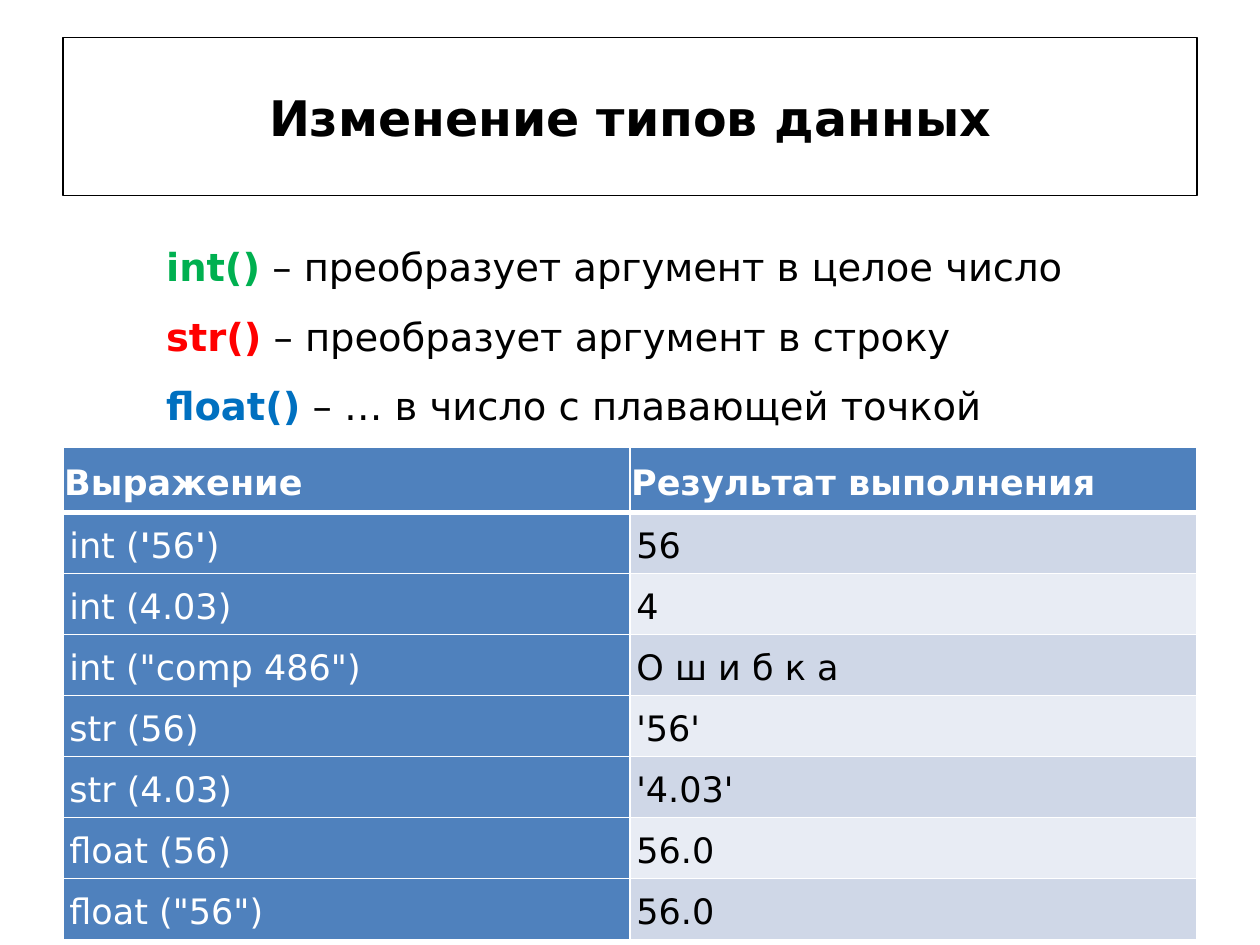
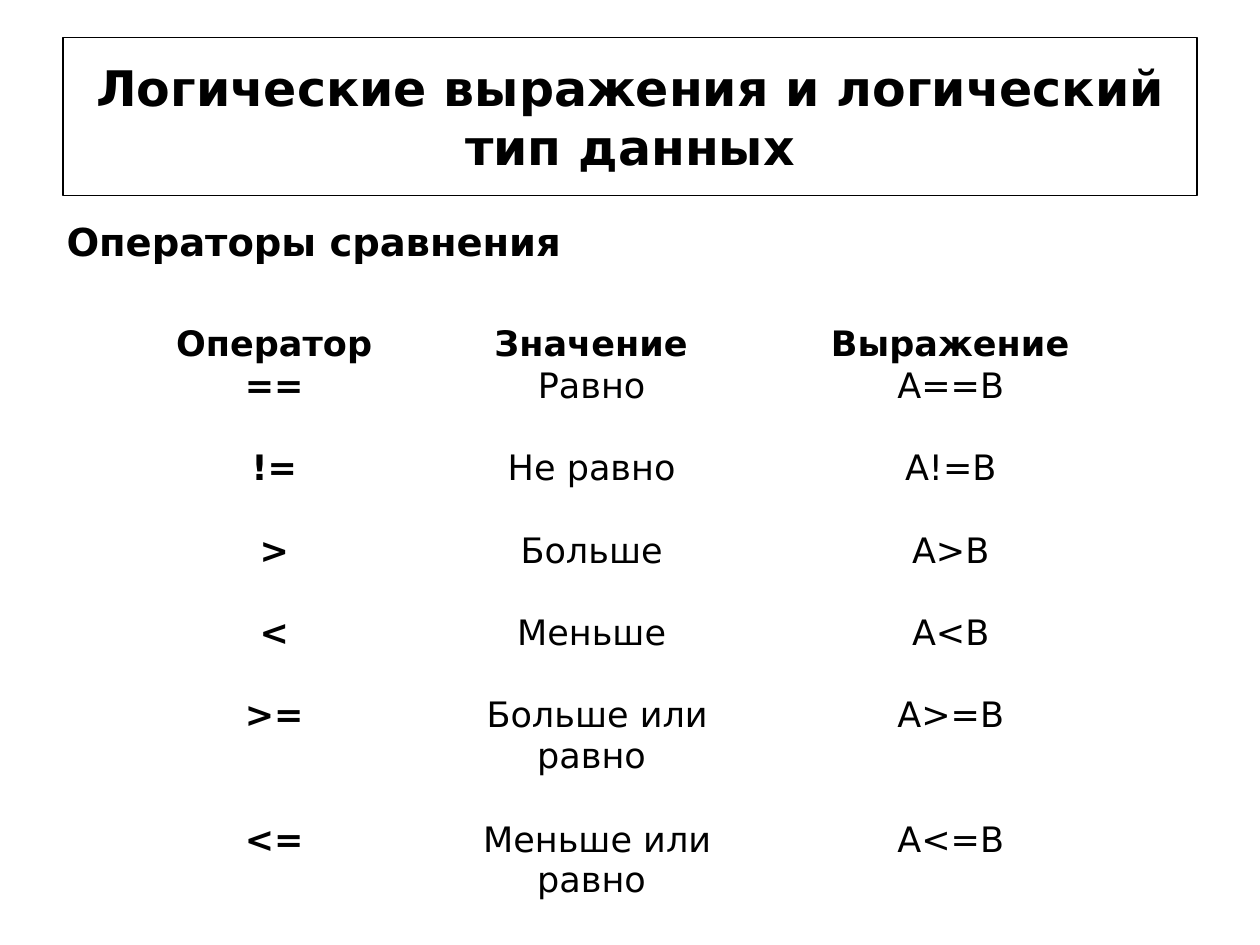
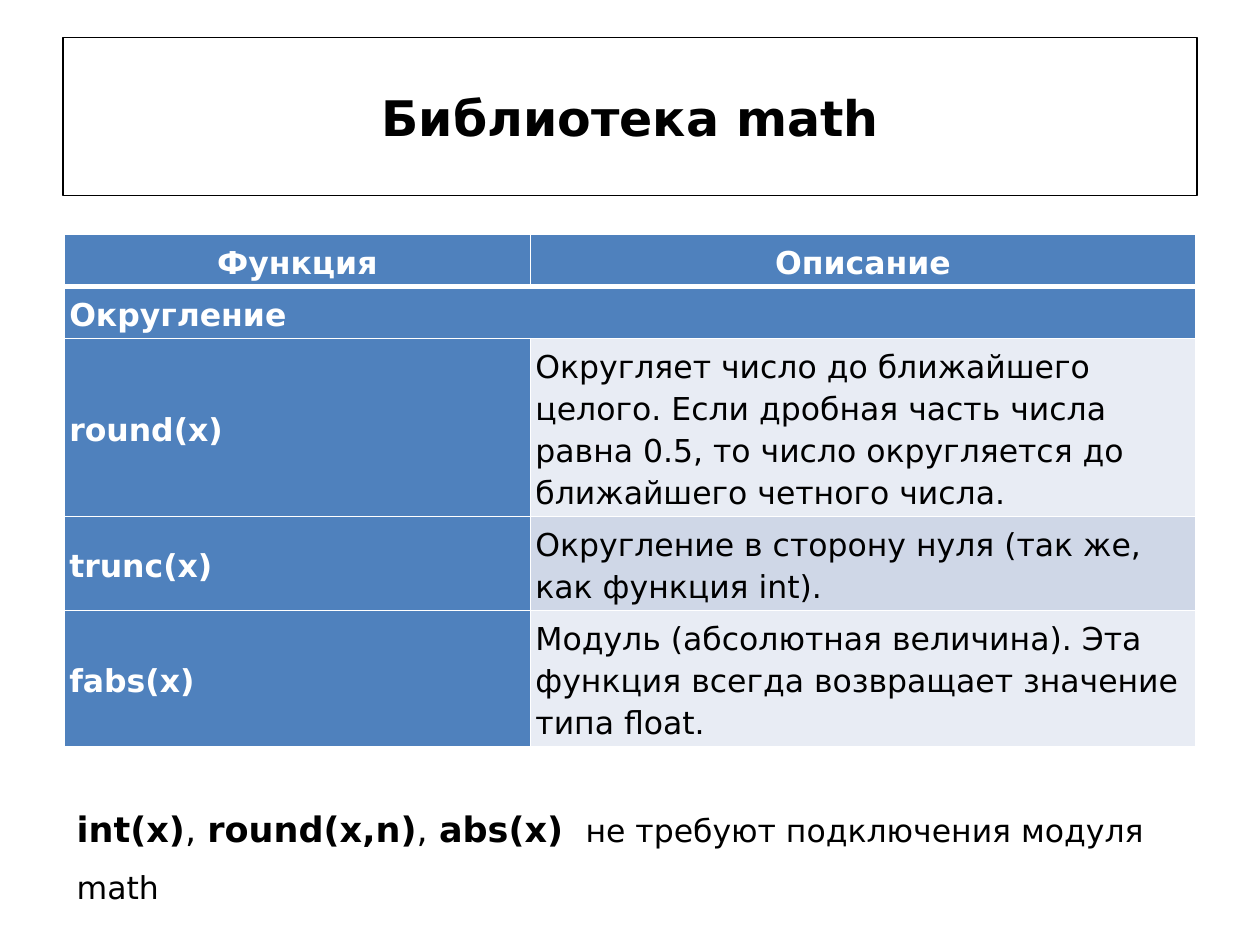
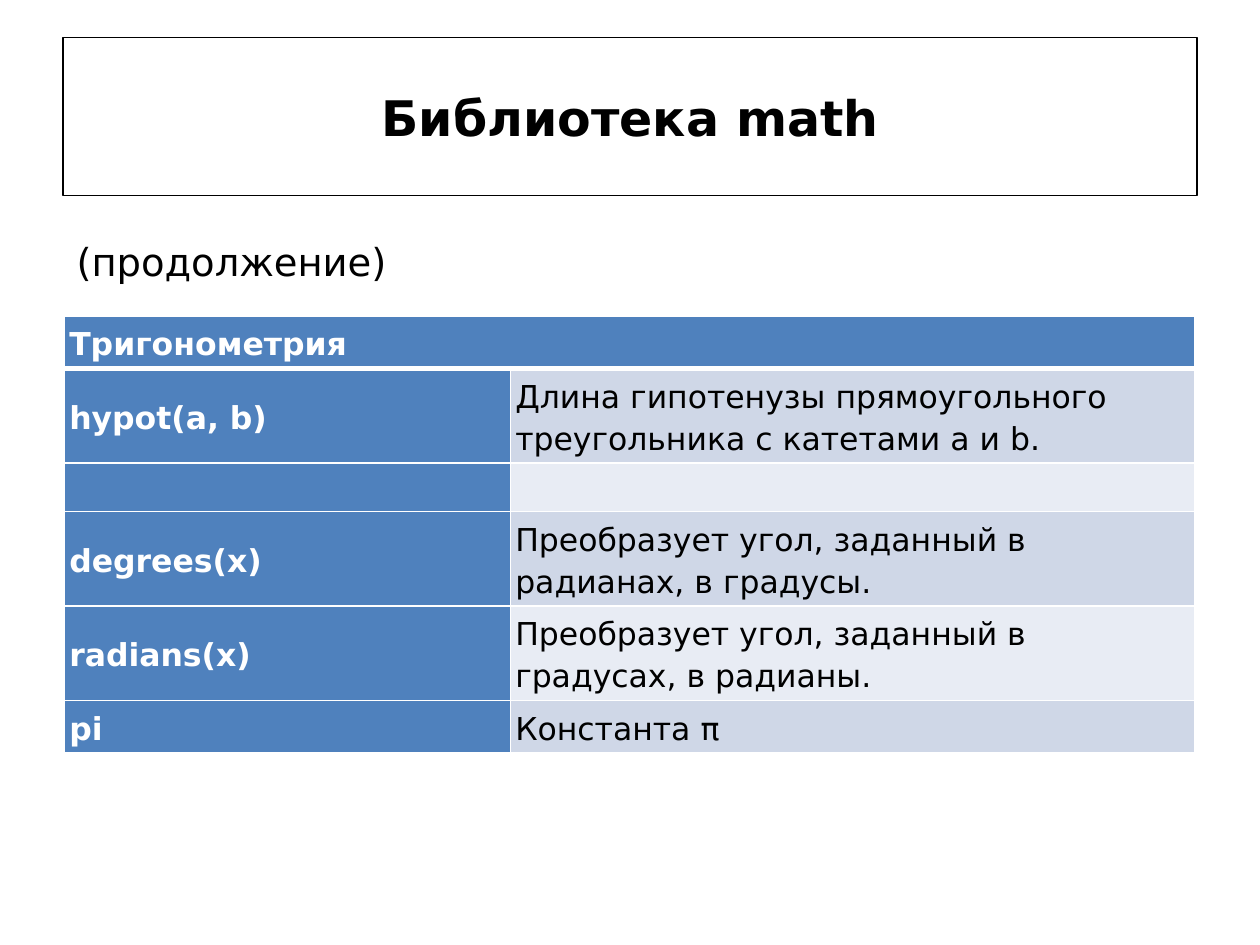
from lxml import etree
from pptx import Presentation
from pptx.dml.color import RGBColor
from pptx.enum.text import MSO_ANCHOR, PP_ALIGN
from pptx.oxml.ns import qn
from pptx.util import Inches, Pt

LEFT, CENTER = PP_ALIGN.LEFT, PP_ALIGN.CENTER
TOP, MIDDLE = MSO_ANCHOR.TOP, MSO_ANCHOR.MIDDLE
BLACK, WHITE, BLUE = "000000", "FFFFFF", "4F81BD"
BANDS = ("E8ECF4", "CFD7E7")


def color(code):
    return RGBColor.from_string(code)


class Deck:
    font = "DejaVu Sans"

    def __init__(self):
        self.prs = Presentation()
        self.prs.slide_width = Inches(10)
        self.prs.slide_height = Inches(7.5)

    def start(self, title):
        self.slide = self.prs.slides.add_slide(self.prs.slide_layouts[5])
        box = self.slide.shapes.title
        self.place(box, 0.5, 0.3, 9, 1.25)
        box.line.color.rgb = color(BLACK)
        box.line.width = Pt(0.75)
        box.text_frame.vertical_anchor = MIDDLE
        self.fill_text(box.text_frame, [title], 28, bold=True, align=CENTER)

    def place(self, box, left, top, width, height):
        box.left, box.top = Inches(left), Inches(top)
        box.width, box.height = Inches(width), Inches(height)

    def fill_text(self, frame, lines, size, ink=BLACK, bold=False, align=LEFT, space=1):
        for i, line in enumerate(lines):
            para = frame.add_paragraph() if i else frame.paragraphs[0]
            para.alignment = align
            para.line_spacing = space
            font = para.font
            font.name, font.size, font.bold = self.font, Pt(size), bold
            font.color.rgb = color(ink)
            for text, look in [(line, {})] if isinstance(line, str) else line:
                run = para.add_run()
                run.text = text
                if "bold" in look:
                    run.font.bold = look["bold"]
                if "ink" in look:
                    run.font.color.rgb = color(look["ink"])
                if "size" in look:
                    run.font.size = Pt(look["size"])

    def text(self, left, top, width, height, lines, size, **look):
        frame = self.slide.shapes.add_textbox(
            Inches(left), Inches(top), Inches(width), Inches(height)).text_frame
        frame.word_wrap = True
        self.fill_text(frame, lines, size, **look)
        return frame

    def grid(self, left, top, cols, heights, count):
        table = self.slide.shapes.add_table(
            count, len(cols), Inches(left), Inches(top),
            Inches(sum(cols)), Inches(sum(heights))).table
        table.first_row = table.horz_banding = False
        for col, width in zip(table.columns, cols):
            col.width = Inches(width)
        for row, height in zip(table.rows, heights):
            row.height = Inches(height)
        return table

    def cell(self, cell, text, size, inset, anchor, **look):
        cell.margin_left = cell.margin_right = Inches(inset)
        cell.margin_top = cell.margin_bottom = Inches(inset)
        cell.vertical_anchor = anchor
        if text:
            self.fill_text(cell.text_frame, [text], size, **look)

    def edge(self, cell, top, bottom):
        props = cell._tc.get_or_add_tcPr()
        for side, width in zip("LRTB", (1, 1, top, bottom)):
            line = etree.SubElement(props, qn(f"a:ln{side}"), w=str(Pt(width)))
            fill = etree.SubElement(line, qn("a:solidFill"))
            etree.SubElement(fill, qn("a:srgbClr"), val=WHITE)

    def banded(self, left, top, cols, heights, rows, size, inset,
               head=None, bold=True, align=LEFT):
        table = self.grid(left, top, cols, heights, len(rows))
        for r, row in enumerate(rows):
            if len(row) == 1:
                table.cell(r, 0).merge(table.cell(r, len(cols) - 1))
            for c, text in enumerate(row):
                cell = table.cell(r, c)
                dark = r == 0 or c == 0
                self.edge(cell, 3 if r == 1 else 1, 3 if r == 0 else 1)
                cell.fill.solid()
                cell.fill.fore_color.rgb = color(BLUE if dark else BANDS[r % 2])
                self.cell(cell, text, size,
                          head if r == 0 and head else inset, MIDDLE,
                          ink=WHITE if dark else BLACK,
                          bold=r == 0 or (dark and bold),
                          align=align if r == 0 else LEFT, space=1.15)

    def plain(self, left, top, cols, heights, rows, size):
        table = self.grid(left, top, cols, heights, len(rows))
        for r, row in enumerate(rows):
            for c, text in enumerate(row):
                cell = table.cell(r, c)
                cell.fill.background()
                self.cell(cell, text and f"{text} ", size, 0, TOP,
                          bold=r == 0 or c == 0, align=CENTER)


def types(deck):
    deck.start("Изменение типов данных")
    lines = [
        [(name, {"bold": True, "ink": ink}), (note, {})]
        for name, ink, note in (
            ("int()", "00B050", " – преобразует аргумент в целое число"),
            ("str()", "FF0000", " – преобразует аргумент в строку"),
            ("float()", "0070C0", " – … в число с плавающей точкой"))]
    deck.text(1.22, 1.7, 7.32, 1.69, lines, 22, space=1.5)
    quote = ("'", {"bold": True})
    rows = [
        ("Выражение", "Результат выполнения"),
        ([("int (", {}), quote, ("56", {}), quote, (")", {})], "56"),
        ("int (4.03)", "4"),
        ('int ("comp 486")', "O ш и б к а"),
        ("str (56)", "'56'"),
        ("str (4.03)", "'4.03'"),
        ("float (56)", "56.0"),
        ('float ("56")', "56.0")]
    deck.banded(0.5, 3.55, (4.5, 4.5), [0.52] + [0.47] * 7, rows, 20, 0.05,
                head=0.01, bold=False)


def logic(deck):
    deck.start("Логические выражения и логический тип данных")
    deck.text(0.43, 1.68, 9.06, 0.47, ["Операторы сравнения"], 22, bold=True)
    signs = [
        ("==", "Равно", "А==В"),
        ("!=", "Не равно", "А!=B"),
        (">", "Больше", "A>B"),
        ("<", "Меньше", "A<B"),
        (">=", "Больше или равно", "A>=B"),
        ("<=", "Меньше или равно", "A<=B")]
    rows = [("Оператор", "Значение", "Выражение")]
    for i, sign in enumerate(signs):
        if i:
            rows.append(("", "", ""))
        rows.append(sign)
    heights = [0.65 if "или" in row[1] else 0.32 for row in rows]
    deck.plain(1.06, 2.57, (2.33, 2.7, 3), heights, rows, 20)


def rounding(deck):
    deck.start("Библиотека math")
    rows = [
        ("Функция", "Описание"),
        ("Округление",),
        ("round(x)", "Округляет число до ближайшего целого. Если дробная часть "
         "числа равна 0.5, то число округляется до ближайшего четного числа."),
        ("trunc(x)", "Округление в сторону нуля (так же, как функция int)."),
        ("fabs(x)", "Модуль (абсолютная величина). Эта функция всегда "
         "возвращает значение типа float.")]
    deck.banded(0.51, 1.86, (3.7, 5.28), (0.41, 0.41, 1.4, 0.74, 1.07), rows,
                18, 0.04, align=CENTER)
    strong = {"bold": True, "size": 20}
    comma = (", ", {"size": 20})
    line = [("int(x)", strong), comma, ("round(x,n)", strong), comma,
            ("abs(x) ", strong), (" не требуют подключения модуля math", {})]
    deck.text(0.51, 6.19, 8.98, 1.06, [line], 18, space=1.5)


def angles(deck):
    deck.start("Библиотека math")
    rows = [
        ("Тригонометрия",),
        ("hypot(a, b)", "Длина гипотенузы прямоугольного треугольника "
         "с катетами a и b."),
        ("", ""),
        ("degrees(x)", "Преобразует угол, заданный в радианах, в градусы."),
        ("radians(x)", "Преобразует угол, заданный в градусах, в радианы."),
        ("pi", "Константа π")]
    deck.banded(0.51, 2.51, (3.54, 5.43), (0.41, 0.75, 0.37, 0.75, 0.75, 0.41),
                rows, 18, 0.04)
    frame = deck.text(0.51, 1.72, 8.98, 0.58, ["(продолжение)"], 22)
    frame.vertical_anchor = MIDDLE
    frame.margin_top, frame.margin_bottom = Inches(0.17), Inches(0.04)


def main():
    deck = Deck()
    for build in (types, logic, rounding, angles):
        build(deck)
    deck.prs.save("out.pptx")


if __name__ == "__main__":
    main()
